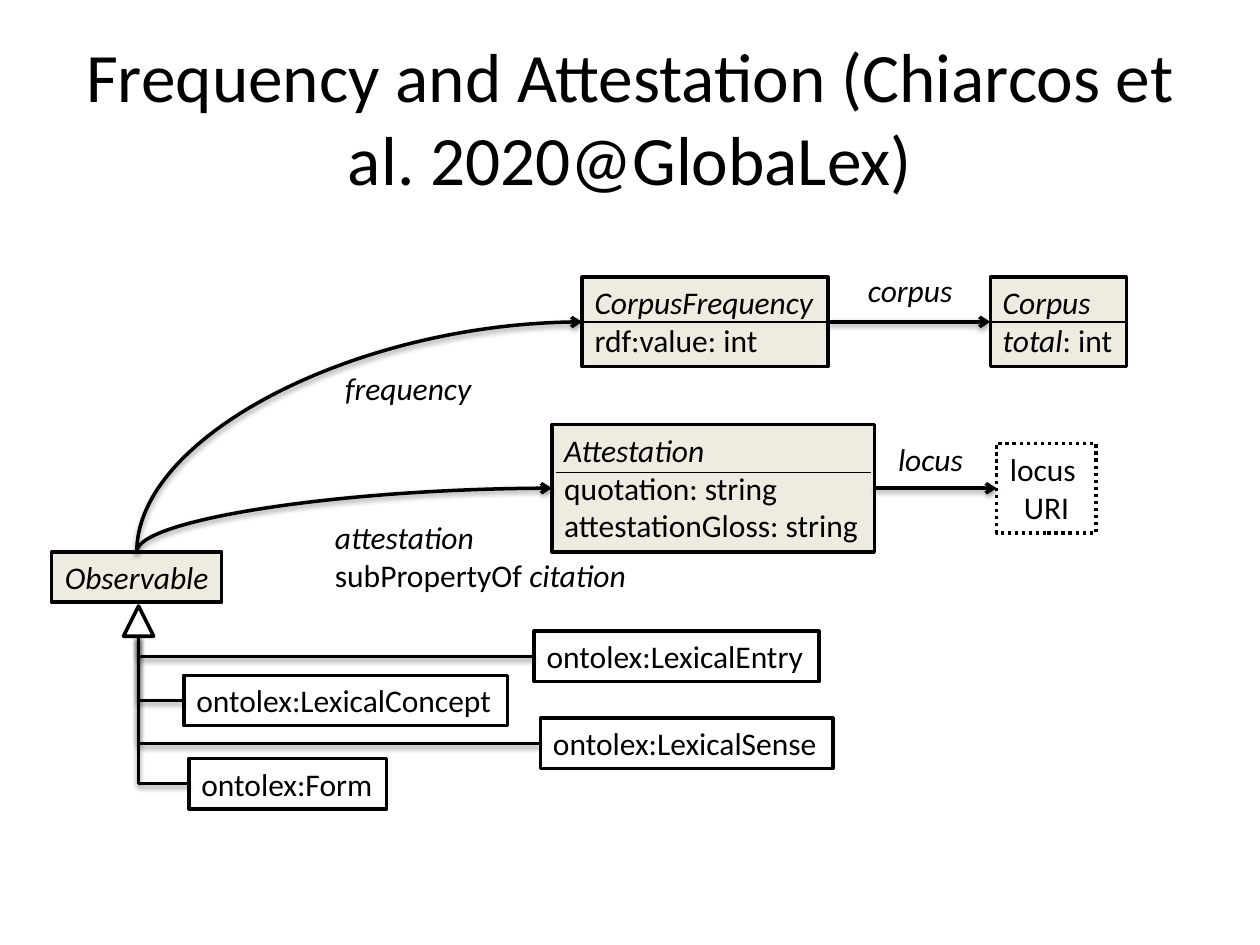
from lxml import etree
from pptx import Presentation
from pptx.dml.color import RGBColor
from pptx.enum import dml, shapes, text
from pptx.oxml.ns import qn
from pptx.util import Inches, Pt

COLORS = {"ink": "000000", "class": "EEECE1", "plain": "FFFFFF"}
FONT = "Calibri"
TITLE = "Frequency and Attestation (Chiarcos et al. 2020@GlobaLex)"

# name: (left, top, width, height), fill, centred, paragraphs of (text, italic) runs
BOXES = {
    "observable": ((0.41, 4.38, 1.35, 0.4), "class", True, [[("Observable", True)]]),
    "form": ((1.5, 6.02, 1.57, 0.4), "plain", False, [[("ontolex:Form", False)]]),
    "sense": ((4.29, 5.7, 2.32, 0.4), "plain", False, [[("ontolex:LexicalSense", False)]]),
    "concept": ((1.46, 5.36, 2.57, 0.4), "plain", False, [[("ontolex:LexicalConcept", False)]]),
    "entry": ((4.24, 5.01, 2.26, 0.4), "plain", False, [[("ontolex:LexicalEntry", False)]]),
    "frequency": ((4.62, 2.2, 1.95, 0.71), "class", False,
                  [[("CorpusFrequency", True)], [("rdf:value: int", False)]]),
    "corpus": ((7.86, 2.2, 1.08, 0.71), "class", False,
               [[("Corpus", True)], [("total", True), (": int", False)]]),
    "attestation": ((4.38, 3.37, 2.56, 1.01), "class", False,
                    [[("Attestation", True)], [("quotation: string", False)],
                     [("attestationGloss: string", False)]]),
    "locus": ((7.91, 3.52, 0.79, 0.71), None, True, [[("locus ", False)], [("URI", False)]]),
}
LABELS = [
    ((2.64, 2.88, 1.24, 0.4), False, [[("frequency", True)]]),
    ((6.79, 2.1, 0.89, 0.4), False, [[("corpus", True)]]),
    ((2.56, 4.06, 2.53, 0.71), False,
     [[("attestation", True)], [("subPropertyOf ", False), ("citation", True)]]),
    ((7.02, 3.44, 0.73, 0.4), True, [[("locus", True)]]),
]
SUBCLASSES = ["form", "sense", "concept", "entry"]
TRIANGLE = (0.98, 4.81, 0.24, 0.24)
RELATIONS = [("frequency", "corpus"), ("attestation", "locus")]
OBSERVED = ["frequency", "attestation"]
TOP, LEFT, BOTTOM, RIGHT = range(4)


def rgb(name):
    return RGBColor.from_string(COLORS[name])


def style_run(r, size, italic=False):
    r.font.name, r.font.size, r.font.italic = FONT, Pt(size), italic
    r.font.color.rgb = rgb("ink")


def write(sp, paragraphs, centred):
    tf = sp.text_frame
    tf.word_wrap = False
    tf.auto_size = text.MSO_AUTO_SIZE.SHAPE_TO_FIT_TEXT
    tf.vertical_anchor = text.MSO_ANCHOR.TOP
    for i, runs in enumerate(paragraphs):
        p = tf.paragraphs[0] if i == 0 else tf.add_paragraph()
        p.alignment = text.PP_ALIGN.CENTER if centred else text.PP_ALIGN.LEFT
        for words, italic in runs:
            r = p.add_run()
            r.text = words
            style_run(r, 18, italic)


def add_outlined(s, kind, place, fill):
    sp = s.shapes.add_shape(kind, *map(Inches, place))
    sp.shadow.inherit = False
    if fill:
        sp.fill.solid()
        sp.fill.fore_color.rgb = rgb(fill)
    else:
        sp.fill.background()
    sp.line.color.rgb = rgb("ink")
    sp.line.width = Pt(2)
    return sp


def side(place, index):
    x, y, w, h = place
    return [(x + w / 2, y), (x, y + h / 2), (x + w / 2, y + h), (x + w, y + h / 2)][index]


def add_line(s, start, end, width=2, arrow=False, shadow=True,
             kind=shapes.MSO_CONNECTOR.STRAIGHT):
    c = s.shapes.add_connector(kind, *map(Inches, (*start, *end)))
    c.line.color.rgb = rgb("ink")
    c.line.width = Pt(width)
    if arrow:
        etree.SubElement(c.line._get_or_add_ln(), qn("a:tailEnd"), type="arrow")
    effects = etree.SubElement(c._element.spPr, qn("a:effectLst"))
    if shadow:
        outer = etree.SubElement(effects, qn("a:outerShdw"), blurRad="40000", dist="20000",
                                 dir="5400000", rotWithShape="0")
        color = etree.SubElement(outer, qn("a:srgbClr"), val=COLORS["ink"])
        etree.SubElement(color, qn("a:alpha"), val="38000")
    return c


def join(c, first, first_side, last, last_side):
    c.begin_connect(first, first_side)
    c.end_connect(last, last_side)


def add_corner(s, start, end, kind, preset, arrow=False):
    """Add a one-corner connector that leaves vertically and arrives from the left."""
    c = add_line(s, start, end, arrow=arrow, kind=kind)
    (x1, y1), (x2, y2) = start, end
    w, h = abs(y2 - y1), abs(x2 - x1)
    c.left, c.top = Inches((x1 + x2 - w) / 2), Inches((y1 + y2 - h) / 2)
    c.width, c.height = Inches(w), Inches(h)
    upward = y2 < y1
    xfrm = c._element.spPr.find(qn("a:xfrm"))
    xfrm.set("rot", str((90 if upward else 270) * 60000))
    xfrm.set("flipH", "1")
    xfrm.set("flipV", "1" if upward else "0")
    c._element.spPr.find(qn("a:prstGeom")).set("prst", preset)


def main():
    prs = Presentation()
    prs.slide_width, prs.slide_height = Inches(10), Inches(7.5)
    s = prs.slides.add_slide(prs.slide_layouts[5])

    title = s.shapes.title
    title.left, title.top, title.width, title.height = map(Inches, (0.5, 0.3, 9, 1.25))
    tf = title.text_frame
    tf.word_wrap, tf.auto_size = True, text.MSO_AUTO_SIZE.NONE
    tf.vertical_anchor = text.MSO_ANCHOR.MIDDLE
    p = tf.paragraphs[0]
    p.alignment = text.PP_ALIGN.CENTER
    r = p.add_run()
    r.text = TITLE
    style_run(r, 39.6)

    boxes = {}
    for name, (place, fill, centred, paragraphs) in BOXES.items():
        boxes[name] = add_outlined(s, shapes.MSO_SHAPE.RECTANGLE, place, fill)
        write(boxes[name], paragraphs, centred)
    boxes["locus"].line.dash_style = dml.MSO_LINE.ROUND_DOT
    for place, centred, paragraphs in LABELS:
        write(s.shapes.add_textbox(*map(Inches, place)), paragraphs, centred)

    add_outlined(s, shapes.MSO_SHAPE.ISOSCELES_TRIANGLE, TRIANGLE, "plain")
    for name in SUBCLASSES:
        add_corner(s, side(TRIANGLE, BOTTOM), side(BOXES[name][0], LEFT),
                   shapes.MSO_CONNECTOR.ELBOW, "bentConnector2")

    for name in ("frequency", "corpus"):
        place = BOXES[name][0]
        c = add_line(s, side(place, LEFT), side(place, RIGHT), 0.75, shadow=False)
        join(c, boxes[name], LEFT, boxes[name], RIGHT)
    add_line(s, (4.41, 3.75), (6.91, 3.75), 0.75, shadow=False)

    for first, last in RELATIONS:
        c = add_line(s, side(BOXES[first][0], RIGHT), side(BOXES[last][0], LEFT), arrow=True)
        join(c, boxes[first], RIGHT, boxes[last], LEFT)
    for name in OBSERVED:
        add_corner(s, side(BOXES["observable"][0], TOP), side(BOXES[name][0], LEFT),
                   shapes.MSO_CONNECTOR.CURVE, "curvedConnector2", arrow=True)

    prs.save("out.pptx")


if __name__ == "__main__":
    main()
